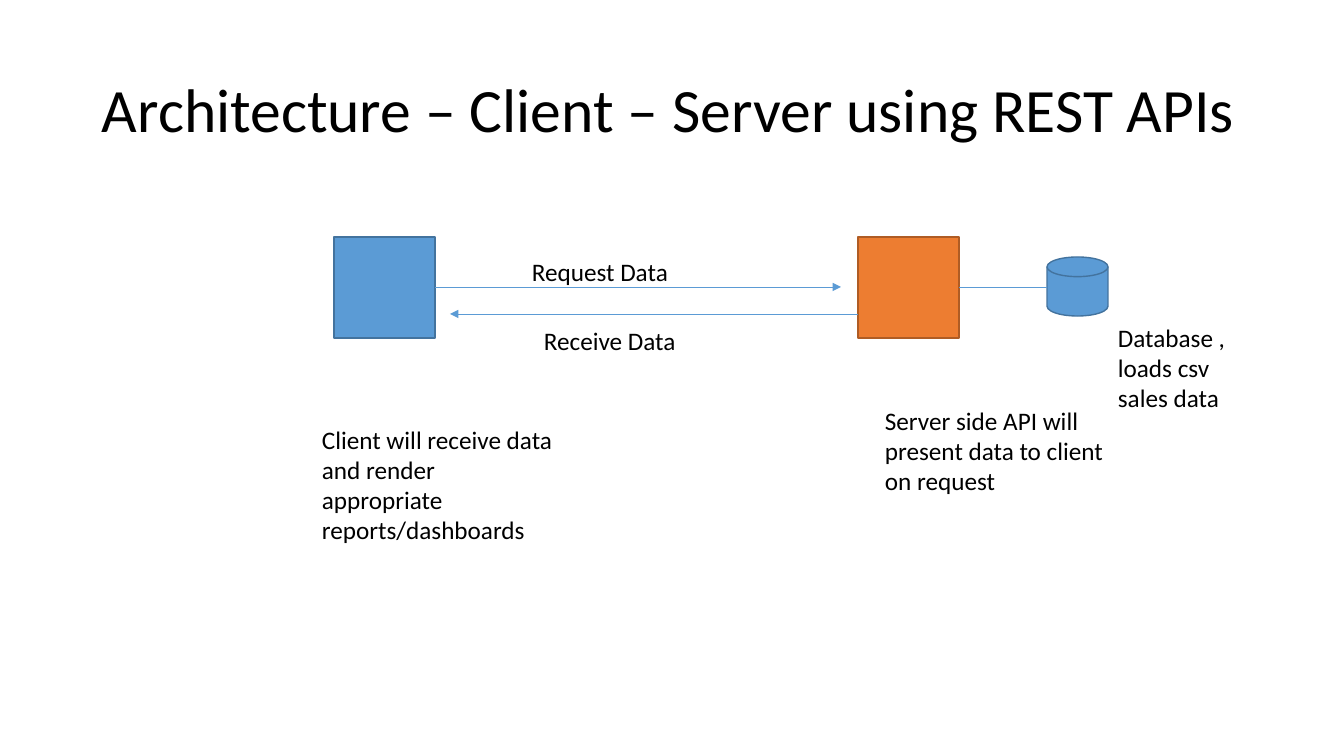
from lxml.etree import SubElement
from pptx import Presentation
from pptx.dml.color import RGBColor
from pptx.enum.shapes import MSO_CONNECTOR, MSO_SHAPE
from pptx.enum.text import MSO_ANCHOR
from pptx.oxml.ns import qn
from pptx.util import Pt

SCALE = 914400 / 100.8
COLORS = {"text": "000000", "blue": "5B9BD5", "blue_edge": "43739E",
          "orange": "ED7D31", "orange_edge": "AF5C24"}


def px(*lengths):
    return [round(n * SCALE) for n in lengths]


def add_text(text, box, size):
    tf = slide.shapes.add_textbox(*px(*box)).text_frame
    tf.word_wrap = True
    p = tf.paragraphs[0]
    p.text = text
    font = p.runs[0].font
    font.name, font.size = "Calibri", Pt(size)
    font.color.rgb = RGBColor.from_string(COLORS["text"])
    return tf


prs = Presentation()
prs.slide_width, prs.slide_height = px(1344, 756)
slide = prs.slides.add_slide(prs.slide_layouts[6])

# Title
tf = add_text("Architecture – Client – Server using REST APIs", (92, 40, 1160, 146), 44)
tf.vertical_anchor = MSO_ANCHOR.MIDDLE
tf.paragraphs[0].line_spacing = 0.9

# Client, server and database
nodes = [
    (MSO_SHAPE.RECTANGLE, (334, 237, 101, 101), "blue"),
    (MSO_SHAPE.RECTANGLE, (858, 237, 101, 101), "orange"),
    (MSO_SHAPE.FLOWCHART_MAGNETIC_DISK, (1047, 257, 61, 59), "blue"),
]
for kind, box, color in nodes:
    sp = slide.shapes.add_shape(kind, *px(*box))
    sp.shadow.inherit = False
    sp.fill.solid()
    sp.fill.fore_color.rgb = RGBColor.from_string(COLORS[color])
    sp.line.color.rgb = RGBColor.from_string(COLORS[color + "_edge"])
    sp.line.width = Pt(1)

# Request arrow, response arrow and database link
links = [(435, 841, 287, True), (858, 450, 314, True), (959, 1047, 287, False)]
for start, end, y, arrow in links:
    line = slide.shapes.add_connector(MSO_CONNECTOR.STRAIGHT, *px(start, y, end, y))
    line.line.color.rgb = RGBColor.from_string(COLORS["blue"])
    line.line.width = Pt(0.5)
    if arrow:
        SubElement(line.line._get_or_add_ln(), qn("a:tailEnd"), type="triangle")
    SubElement(line._element.spPr, qn("a:effectLst"))

# Labels and descriptions
labels = [
    ("Request Data", (522, 251, 197, 40)),
    ("Receive Data", (534, 320, 185, 40)),
    ("Client will receive data and render appropriate reports/dashboards",
     (312, 419, 256, 132)),
    ("Server side API will present data to client on request", (875, 400, 256, 102)),
    ("Database , loads csv sales data", (1108, 317, 132, 102)),
]
for text, box in labels:
    add_text(text, box, 18)

prs.save("out.pptx")
